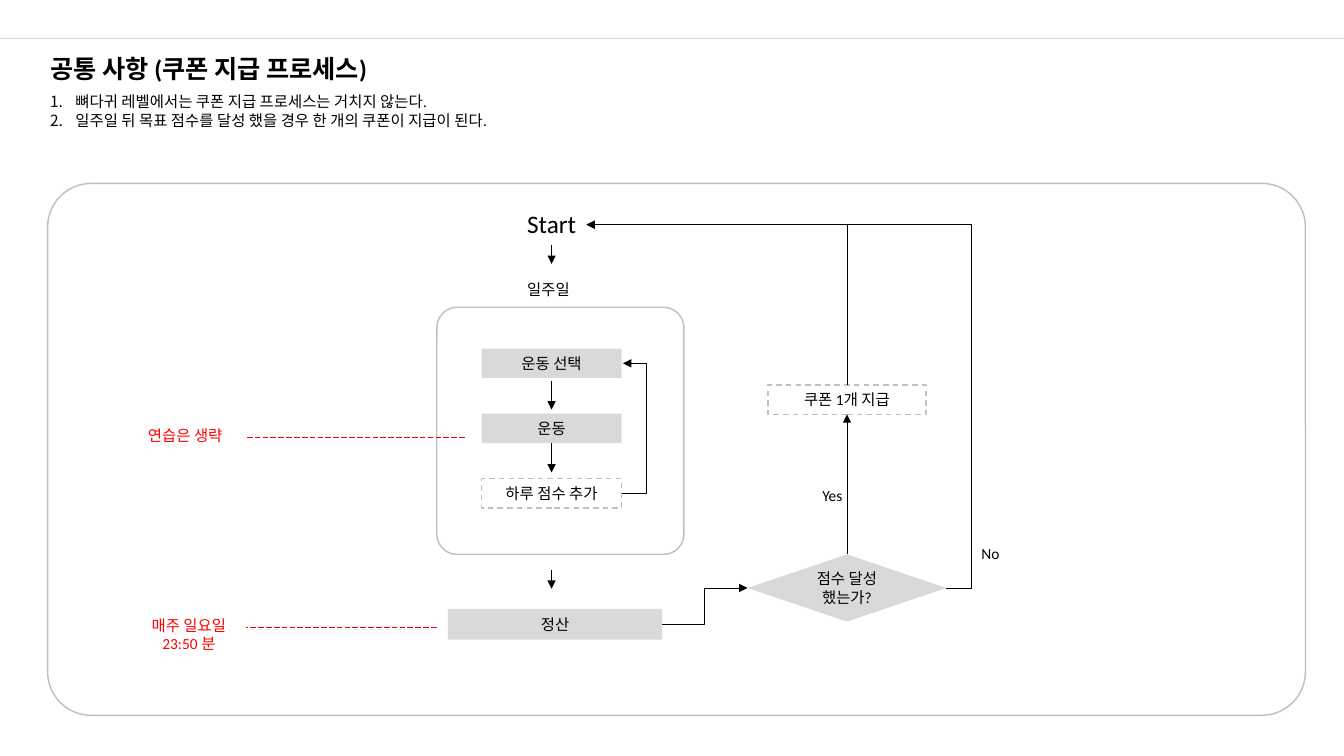
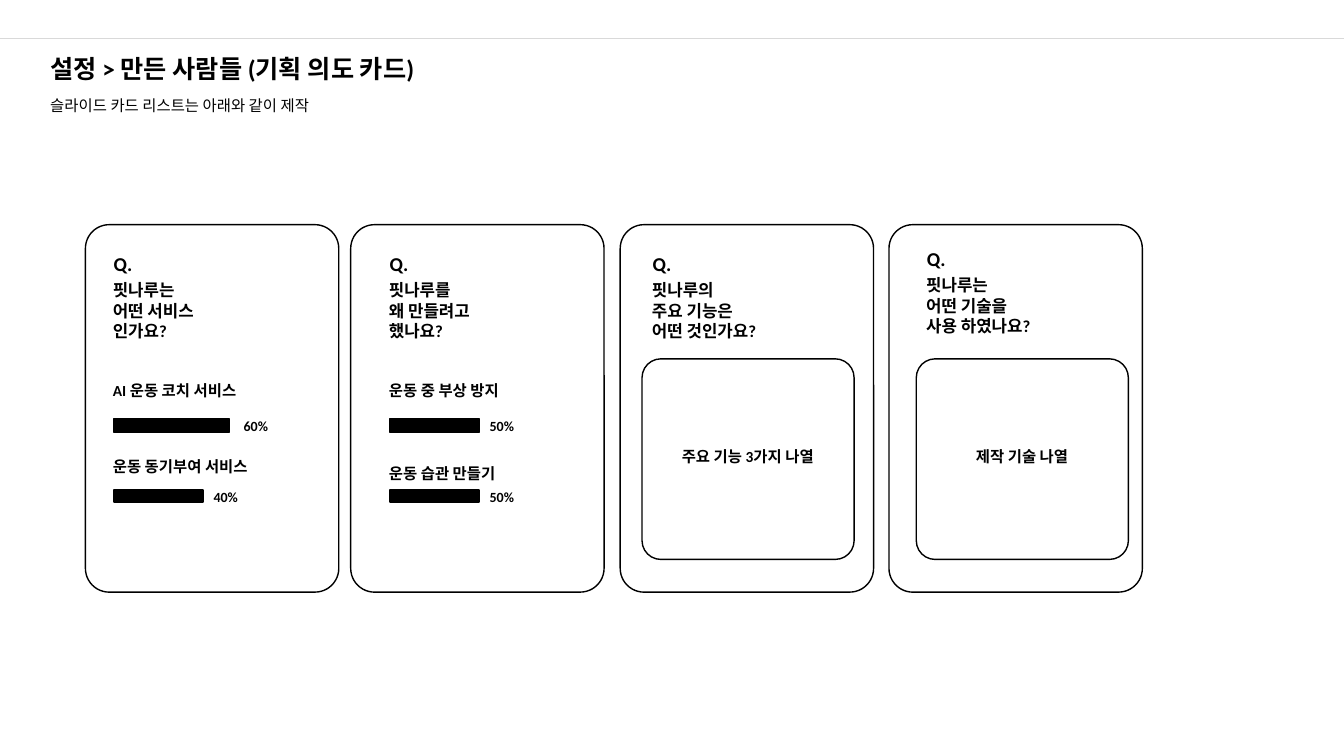
from lxml.etree import SubElement
from pptx import Presentation
from pptx.dml.color import RGBColor
from pptx.enum.dml import MSO_LINE_DASH_STYLE
from pptx.enum.shapes import MSO_CONNECTOR, MSO_SHAPE
from pptx.enum.text import MSO_ANCHOR, MSO_AUTO_SIZE, PP_ALIGN
from pptx.oxml.ns import qn
from pptx.util import Pt

BLACK = RGBColor(0x00, 0x00, 0x00)
WHITE = RGBColor(0xFF, 0xFF, 0xFF)
RED = RGBColor(0xFF, 0x00, 0x00)
LIGHT_GRAY = RGBColor(0xD9, 0xD9, 0xD9)
GRAY = RGBColor(0xBF, 0xBF, 0xBF)
FONT = "Calibri"
RECTANGLE, ROUNDED, DIAMOND = MSO_SHAPE.RECTANGLE, MSO_SHAPE.ROUNDED_RECTANGLE, MSO_SHAPE.DIAMOND
STRAIGHT, ELBOW = MSO_CONNECTOR.STRAIGHT, MSO_CONNECTOR.ELBOW
DASH, LONG_DASH = MSO_LINE_DASH_STYLE.DASH, MSO_LINE_DASH_STYLE.LONG_DASH
LEFT, CENTER = PP_ALIGN.LEFT, PP_ALIGN.CENTER
MIDDLE, GROW = MSO_ANCHOR.MIDDLE, MSO_AUTO_SIZE.SHAPE_TO_FIT_TEXT
TOP_SIDE, BOTTOM_SIDE = 0, 2


def add_box(slide, box, text="", kind=None, fill=None, line=None, dash=None, radius=None,
            size=11, color=BLACK, bold=False, align=LEFT, wrap=True):
    """Add a preset shape, or a text box that grows with its text when kind is None."""
    lengths = [Pt(value) for value in box]
    if kind is None:
        shape = slide.shapes.add_textbox(*lengths)
        shape.text_frame.auto_size = GROW
    else:
        shape = slide.shapes.add_shape(kind, *lengths)
        shape.shadow.inherit = False
        shape.text_frame.vertical_anchor = MIDDLE
        for part, part_color in ((shape.fill, fill), (shape.line.fill, line)):
            if part_color is None:
                part.background()
            else:
                part.solid()
                part.fore_color.rgb = part_color
        if line is not None:
            shape.line.width = Pt(1)
            shape.line.dash_style = dash
        if radius is not None:
            shape.adjustments[0] = radius
    shape.text_frame.word_wrap = wrap
    if text:
        shape.text_frame.text = text
        for paragraph in shape.text_frame.paragraphs:
            paragraph.alignment = align
            font = paragraph.runs[0].font
            for name, value in {"name": FONT, "size": Pt(size), "bold": bold}.items():
                setattr(font, name, value)
            font.color.rgb = color
    return shape


def add_line(slide, start, end, kind=STRAIGHT, color=BLACK, dash=None, arrow="tailEnd", bend=None):
    """Add a thin connector; bend is the place of an elbow's turn as a share of its width."""
    connector = slide.shapes.add_connector(kind, *[Pt(value) for value in (*start, *end)])
    connector.line.color.rgb = color
    connector.line.width = Pt(0.5)
    connector.line.dash_style = dash
    properties = connector.element.spPr
    if arrow:
        SubElement(properties.find(qn("a:ln")), qn(f"a:{arrow}"), type="triangle")
    SubElement(properties, qn("a:effectLst"))
    if bend is not None:
        adjustments = properties.find(qn("a:prstGeom")).find(qn("a:avLst"))
        SubElement(adjustments, qn("a:gd"), name="adj1", fmla=f"val {round(bend * 100000)}")
    return connector


presentation = Presentation()
presentation.slide_width, presentation.slide_height = Pt(960), Pt(540)
blank = presentation.slide_layouts[6]

titles = [("공통 사항 (쿠폰 지급 프로세스)", 260.6), ("설정 > 만든 사람들 (기획 의도 카드)", 304.6)]
slides = []
for title, width in titles:
    slide = presentation.slides.add_slide(blank)
    add_box(slide, (28.8, 34.5, width, 29), title, size=18, bold=True, wrap=False)
    slides.append(slide)
process, cards = slides

# The rule under the top margin belongs to the master
top_rule = add_line(process, (0, 27.5), (960, 27.5), color=LIGHT_GRAY, arrow=None)
presentation.slide_master.shapes.element.append(top_rule.element)

# Slide 1: coupon process
rules = add_box(process, (28.8, 62.6, 443.5, 47.5),
                "뼈다귀 레벨에서는 쿠폰 지급 프로세스는 거치지 않는다.\n"
                "일주일 뒤 목표 점수를 달성 했을 경우 한 개의 쿠폰이 지급이 된다.")
for paragraph in rules.text_frame.paragraphs:
    numbering = paragraph._p.get_or_add_pPr()
    numbering.set("marL", str(Pt(18)))
    numbering.set("indent", str(-Pt(18)))
    SubElement(numbering, qn("a:buAutoNum"), type="arabicPeriod")

for frame in ((34, 131, 898.5, 380), (312, 219.5, 176.5, 176.5)):
    add_box(process, frame, kind=ROUNDED, line=GRAY, radius=0.082)

solid = {"kind": RECTANGLE, "fill": LIGHT_GRAY, "align": CENTER}
dashed = {"kind": RECTANGLE, "line": GRAY, "dash": DASH, "align": CENTER}
daily_steps = [("운동 선택", solid), ("운동", solid), ("하루 점수 추가", dashed)]
choose, exercise, add_score = [
    add_box(process, (344, 249 + row * 46.5, 100, 21), text, **style)
    for row, (text, style) in enumerate(daily_steps)]
add_box(process, (320, 435, 153, 22), "정산", **solid)
coupon = add_box(process, (548.5, 275, 113, 21), "쿠폰 1개 지급", **dashed)
decision = add_box(process, (534, 396, 142, 48), "점수 달성\n했는가?", **{**solid, "kind": DIAMOND})

labels = [
    ((369.5, 145.5, 49.5, 29), "Start", {"size": 18}),
    ((369.5, 196.5, 47.5, 20.5), "일주일", {}),
    ((98.6, 301, 72.7, 20.5), "연습은 생략", {"color": RED}),
    ((98.6, 436.5, 72.7, 34), "매주 일요일\n23:50 분", {"color": RED, "align": CENTER}),
    ((580.3, 344, 29.5, 20.5), "Yes", {}),
    ((694, 385, 30, 20.5), "No", {}),
]
for box, text, style in labels:
    add_box(process, box, text, wrap=False, **style)

for top, bottom in ((175, 188.5), (272, 292.5), (407, 420.5)):
    add_line(process, (394, top), (394, bottom))
add_line(process, (394, 316.5), (394, 337.5)).begin_connect(exercise, BOTTOM_SIDE)
yes_arrow = add_line(process, (605, 396), (605, 296))
yes_arrow.begin_connect(decision, TOP_SIDE)
yes_arrow.end_connect(coupon, BOTTOM_SIDE)
for right, y in ((332, 312.5), (312, 448)):
    add_line(process, (right, y), (175.7, y), color=RED, dash=LONG_DASH, arrow=None)

add_line(process, (444, 352.5), (445, 259.5), ELBOW, bend=18)
add_line(process, (473, 446), (534, 420), ELBOW, bend=0.5)
add_line(process, (676, 420), (419, 160.5), ELBOW, bend=-0.07)
coupon_return = add_line(process, (419, 160.5), (605, 275), ELBOW, arrow="headEnd")
coupon_return.element.spPr.find(qn("a:prstGeom")).set("prst", "bentConnector2")

# Slide 2: question cards
add_box(cards, (28.8, 64.8, 218, 20.5), "슬라이드 카드 리스트는 아래와 같이 제작", wrap=False)

outline = {"kind": ROUNDED, "fill": WHITE, "line": BLACK, "radius": 0.094}
questions = [
    (61, 73.5, 196.5, "핏나루는\n어떤 서비스\n인가요?"),
    (250.5, 270.7, 196.5, "핏나루를\n왜 만들려고\n했나요?"),
    (443, 458.6, 196.5, "핏나루의\n주요 기능은\n어떤 것인가요?"),
    (635, 654.5, 193, "핏나루는\n어떤 기술을\n사용 하였나요?"),
]
for card_left, text_left, top, question in questions:
    add_box(cards, (card_left, 160.5, 181, 262.5), **outline)
    add_box(cards, (text_left - 19.5, top - 20, 67.7, 24.5), "Q.", size=14, bold=True, align=CENTER)
    add_box(cards, (text_left, top, 116, 51), question, size=12, bold=True)

# Text left, label, label top, bar top, bar width, bar height, share, share offset
shares = [
    (73.5, "AI 운동 코치 서비스", 268.5, 299, 82, 10, "60%", 93.5),
    (73.5, "운동 동기부여 서비스", 323.3, 350, 63.5, 8.6, "40%", 72),
    (270.7, "운동 중 부상 방지", 268.5, 299, 63.5, 10, "50%", 72),
    (270.7, "운동 습관 만들기", 328.3, 350, 63.5, 8.6, "50%", 72),
]
for text_left, label, label_top, bar_top, bar_width, bar_height, share, share_offset in shares:
    add_box(cards, (text_left, label_top, 137.5, 20.5), label, bold=True)
    add_box(cards, (text_left + 8, bar_top, bar_width, bar_height), kind=RECTANGLE, fill=BLACK, line=BLACK)
    add_box(cards, (text_left + share_offset, bar_top - 4.4, 52.5, 19.5), share, size=10, bold=True)

for left, text in ((458.6, "주요 기능 3가지 나열"), (654.5, "제작 기술 나열")):
    add_box(cards, (left, 256.3, 151.5, 143.3), **outline)
    add_box(cards, (left + 18, 316, 115.2, 20.5), text, bold=True, align=CENTER)

presentation.save("out.pptx")
